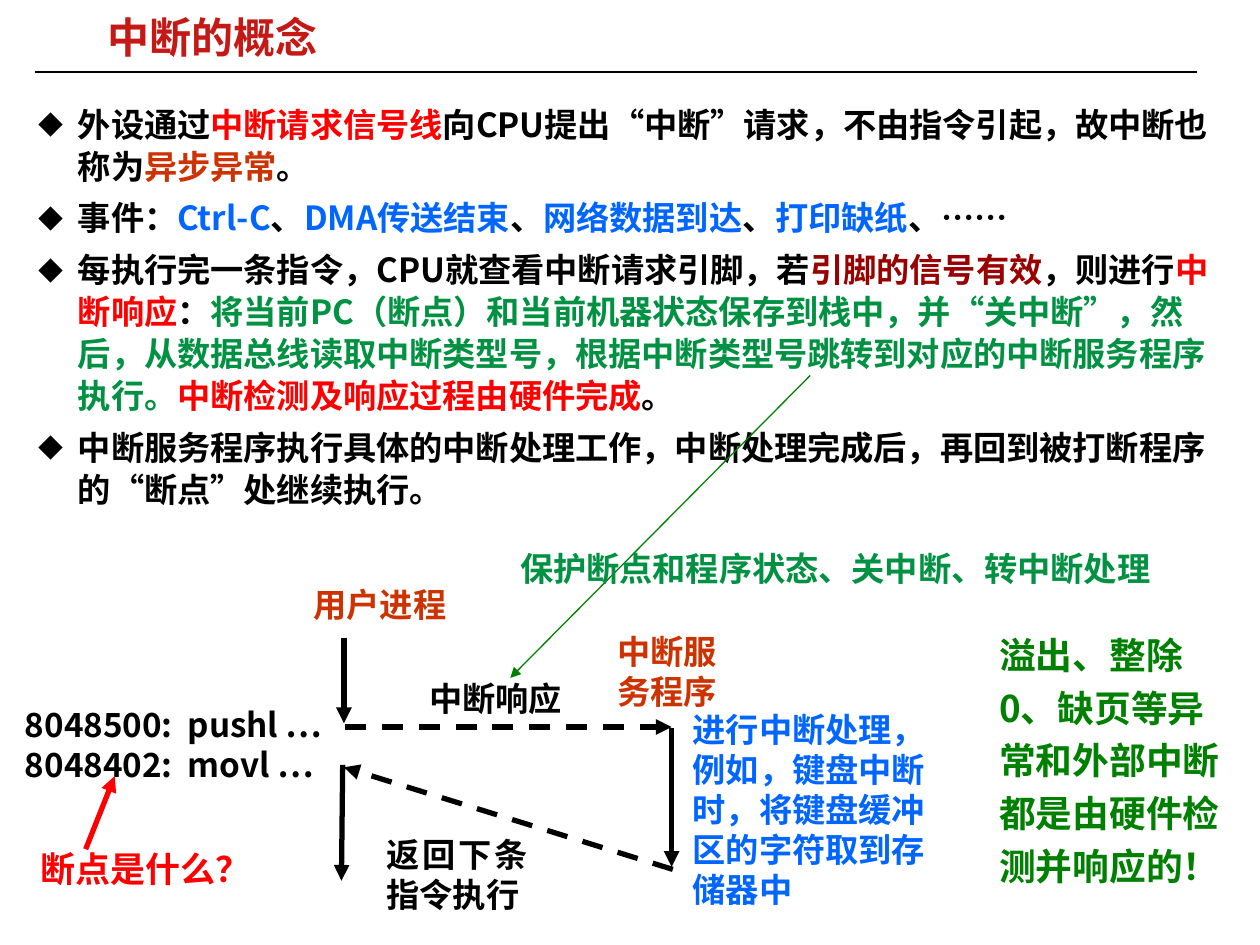
from dataclasses import dataclass

import lxml.etree
import pptx
import pptx.dml.color
import pptx.enum.dml
import pptx.enum.shapes
import pptx.enum.text
import pptx.oxml.ns
import pptx.util

WIDTH, HEIGHT = pptx.util.Inches(10), pptx.util.Inches(7.5)
COLUMNS, ROWS = 100, 75
JUSTIFY = pptx.enum.text.PP_ALIGN.JUSTIFY


@dataclass(frozen=True)
class Theme:
    """Colours, fonts and type sizes of the slide."""
    cjk: str = "Noto Sans CJK SC"
    latin: str = "Arial"
    heading: int = 24
    aside: int = 21
    question: int = 20
    body: int = 19
    black: str = "000000"
    title: str = "C51915"
    red: str = "FF0000"
    dark_red: str = "990000"
    orange: str = "CC3300"
    blue: str = "0066FF"
    jade: str = "009242"
    green: str = "008000"


THEME = Theme()

CONCEPTS = [
    [("外设通过", THEME.black), ("中断请求信号线", THEME.red),
     ("向CPU提出“中断”请求，不由指令引起，故中断也称为", THEME.black),
     ("异步异常", THEME.orange), ("。", THEME.black)],
    [("事件：", THEME.black), ("Ctrl-C", THEME.blue), ("、", THEME.black),
     ("DMA传送结束", THEME.blue), ("、", THEME.black), ("网络数据到达", THEME.blue),
     ("、", THEME.black), ("打印缺纸", THEME.blue), ("、……", THEME.black)],
    [("每执行完一条指令，CPU就查看中断请求引脚，若", THEME.black),
     ("引脚的信号有效", THEME.dark_red), ("，则进行", THEME.black),
     ("中断响应", THEME.red), ("：", THEME.black),
     ("将当前PC（断点）和当前机器状态保存到栈中，并“关中断”，然后，从数据总线读取中断类型号，"
      "根据中断类型号跳转到对应的中断服务程序执行。", THEME.jade),
     ("中断检测及响应过程由硬件完成", THEME.red), ("。", THEME.black)],
    [("中断服务程序执行具体的中断处理工作，中断处理完成后，再回到被打断程序的“断点”处继续执行。",
      THEME.black)],
]


def across(columns):
    """Return the length of a number of grid columns."""
    return round(WIDTH * columns / COLUMNS)


def down(rows):
    """Return the length of a number of grid rows."""
    return round(HEIGHT * rows / ROWS)


def rgb(colour):
    """Return a colour object for a hex string."""
    return pptx.dml.color.RGBColor.from_string(colour)


def add_frame(slide, area, insets=(1, 0.5), wrap=True):
    """Add a text box on the grid and return its text frame."""
    left, top, width, height = area
    frame = slide.shapes.add_textbox(
        across(left), down(top), across(width), down(height)).text_frame
    frame.word_wrap = wrap
    frame.margin_left = frame.margin_right = across(insets[0])
    frame.margin_top = frame.margin_bottom = down(insets[1])
    return frame


def style(paragraph, size, face, colour=None):
    """Set the bold font shared by all runs of a paragraph."""
    paragraph.font.size = pptx.util.Pt(size)
    paragraph.font.bold = True
    paragraph.font.name = face
    if colour:
        paragraph.font.color.rgb = rgb(colour)


def add_label(slide, area, text, colour, size=THEME.body, face=THEME.cjk,
              align=None, spacing=None, **frame_options):
    """Add a text of one colour, one paragraph to each line."""
    frame = add_frame(slide, area, **frame_options)
    frame.text = text
    for paragraph in frame.paragraphs:
        paragraph.alignment = align
        paragraph.line_spacing = spacing
        style(paragraph, size, face, colour)


def add_diamond_bullet(paragraph):
    """Give a paragraph a hanging diamond bullet."""
    properties = paragraph._p.get_or_add_pPr()
    indent = across(3.1)
    properties.set("marL", str(indent))
    properties.set("indent", str(-indent))
    for tag, name, value in (("a:buSzPct", "val", "75000"),
                             ("a:buFont", "typeface", THEME.cjk),
                             ("a:buChar", "char", "◆")):
        lxml.etree.SubElement(properties, pptx.oxml.ns.qn(tag)).set(name, value)


def add_concepts(slide, area, concepts):
    """Add the bulleted explanation with its coloured key phrases."""
    frame = add_frame(slide, area)
    for index, phrases in enumerate(concepts):
        paragraph = frame.add_paragraph() if index else frame.paragraphs[0]
        paragraph.line_spacing = 1.05
        if index:
            paragraph.space_before = pptx.util.Pt(0.3 * THEME.body)
        add_diamond_bullet(paragraph)
        style(paragraph, THEME.body, THEME.cjk)
        for text, colour in phrases:
            run = paragraph.add_run()
            run.text = text
            run.font.color.rgb = rgb(colour)


def add_line(slide, start, end, colour=THEME.black, weight=3, dashed=False, arrow=True):
    """Add a straight line between two grid points."""
    line = slide.shapes.add_connector(
        pptx.enum.shapes.MSO_CONNECTOR.STRAIGHT,
        across(start[0]), down(start[1]), across(end[0]), down(end[1]))
    line.line.color.rgb = rgb(colour)
    line.line.width = pptx.util.Pt(weight)
    if dashed:
        line.line.dash_style = pptx.enum.dml.MSO_LINE.DASH
    if arrow:
        head = lxml.etree.SubElement(line.line._get_or_add_ln(), pptx.oxml.ns.qn("a:tailEnd"))
        head.set("type", "triangle")
    lxml.etree.SubElement(line._element.spPr, pptx.oxml.ns.qn("a:effectLst"))


def add_control_flow(slide):
    """Add the jump from the user process to the handler and back."""
    add_label(slide, (23.9, 46.4, 14.1, 2.3), "用户进程", THEME.orange,
              align=JUSTIFY, insets=(1, 0), wrap=False)
    add_label(slide, (48, 49.6, 10.8, 7.2), "中断服务程序", THEME.orange)
    add_line(slide, (27.4, 57.7), (53.3, 57.7), dashed=True)
    add_line(slide, (53.3, 57.8), (53.3, 68.8))
    add_line(slide, (53.4, 69), (27.3, 60.9), dashed=True)
    add_line(slide, (27.2, 60.7), (27.1, 69.9))
    add_line(slide, (27.3, 50.6), (27.3, 57.4))
    add_label(slide, (33.1, 53.3, 12.5, 4.1), "中断响应", THEME.black,
              align=JUSTIFY, wrap=False)
    add_label(slide, (54, 55.8, 22.4, 16.8),
              "进行中断处理，例如，键盘中断时，将键盘缓冲区的字符取到存储器中", THEME.blue)
    add_label(slide, (29.7, 65.7, 13.2, 7.3), "返回下条指令执行", THEME.black, align=JUSTIFY)
    add_label(slide, (1, 55.4, 29, 7.3), "8048500:  pushl …\n8048402:  movl …",
              THEME.black, align=JUSTIFY)


def add_remarks(slide):
    """Add the remarks around the control flow."""
    add_label(slide, (79.3, 49.5, 17.7, 21), "溢出、整除0、缺页等异常和外部中断都是由硬件检测并响应的！",
              THEME.green, size=THEME.aside, spacing=1.2, insets=(0, 0))
    add_label(slide, (2.2, 66.8, 20.8, 4.3), "断点是什么？", THEME.red,
              size=THEME.question, face=THEME.latin)
    add_line(slide, (6.8, 67.4), (9.1, 61.6), THEME.red)
    add_line(slide, (64.3, 29.8), (40.5, 53.8), THEME.green, weight=0.75)
    add_label(slide, (40.3, 43, 52.7, 4.2), "保护断点和程序状态、关中断、转中断处理",
              THEME.jade, face=THEME.latin)


def main():
    """Build the slide on the concept of interrupts."""
    deck = pptx.Presentation()
    deck.slide_width, deck.slide_height = WIDTH, HEIGHT
    slide = deck.slides.add_slide(deck.slide_layouts[6])
    add_line(slide, (2.8, 5.7), (95, 5.7), weight=1, arrow=False)
    add_label(slide, (7.8, 1.2, 86, 4), "中断的概念", THEME.title, size=THEME.heading,
              face=THEME.latin, spacing=0.87, insets=(0.7, 0.3))
    add_concepts(slide, (2.1, 7.6, 94.9, 36.8), CONCEPTS)
    add_control_flow(slide)
    add_remarks(slide)
    deck.save("out.pptx")


if __name__ == "__main__":
    main()
